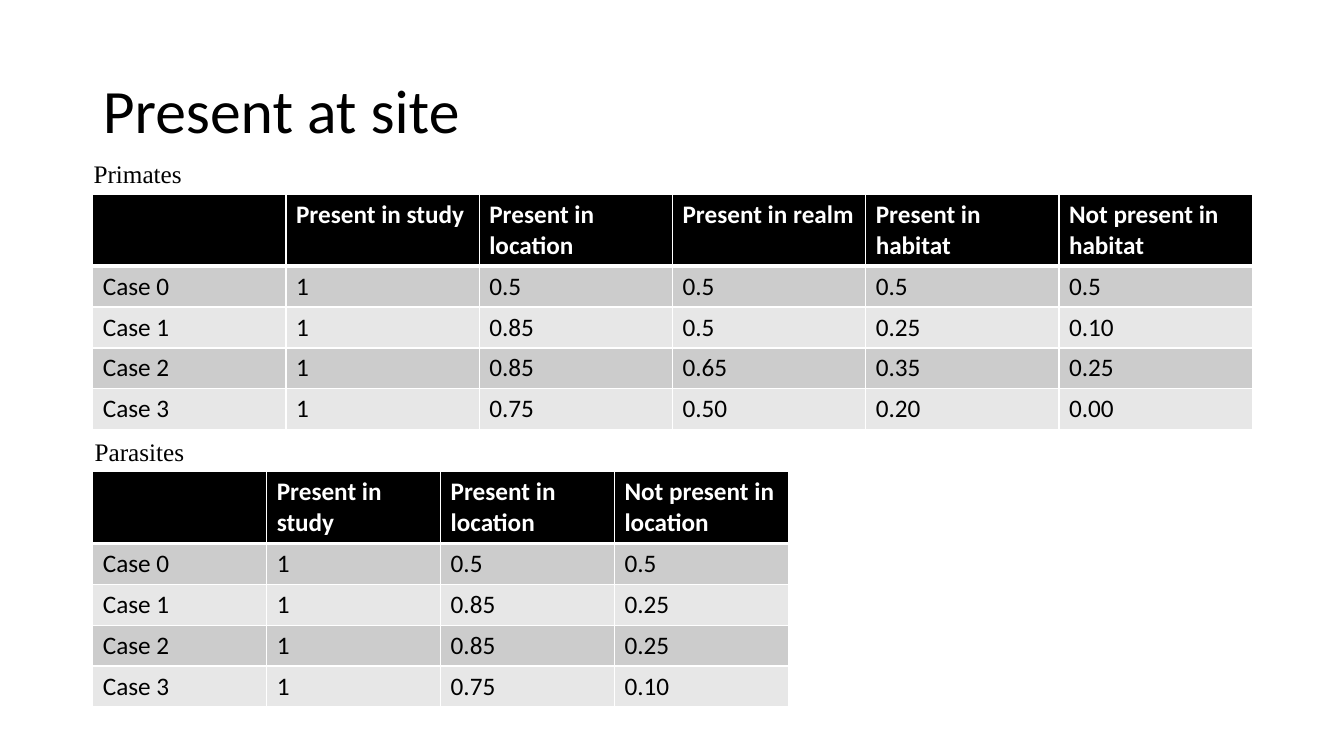
from lxml.etree import SubElement
from pptx import Presentation
from pptx.dml.color import RGBColor
from pptx.enum.text import MSO_ANCHOR, MSO_AUTO_SIZE, PP_ALIGN
from pptx.oxml.ns import qn
from pptx.util import Inches, Pt

BLACK = RGBColor(0x00, 0x00, 0x00)
WHITE = RGBColor(0xFF, 0xFF, 0xFF)
DARK_BAND = RGBColor(0xCC, 0xCC, 0xCC)
LIGHT_BAND = RGBColor(0xE7, 0xE7, 0xE7)

HEADER_HEIGHT = 0.7
TABLE_HEIGHT = 2.32

PRIMATES = [
    ["", "Present in study", "Present in location", "Present in realm",
     "Present in habitat", "Not present in habitat"],
    ["Case 0", "1", "0.5", "0.5", "0.5", "0.5"],
    ["Case 1", "1", "0.85", "0.5", "0.25", "0.10"],
    ["Case 2", "1", "0.85", "0.65", "0.35", "0.25"],
    ["Case 3", "1", "0.75", "0.50", "0.20", "0.00"],
]
PARASITES = [
    ["", "Present in study", "Present in location", "Not present in location"],
    ["Case 0", "1", "0.5", "0.5"],
    ["Case 1", "1", "0.85", "0.25"],
    ["Case 2", "1", "0.85", "0.25"],
    ["Case 3", "1", "0.75", "0.10"],
]


def add_span(para, text, size, font, color, bold=False):
    span = para.add_run()
    span.text = text
    span.font.size = Pt(size)
    span.font.name = font
    span.font.color.rgb = color
    span.font.bold = bold


def add_border(cell, side, width):
    properties = cell._tc.get_or_add_tcPr()
    line = SubElement(properties, qn(f"a:ln{side}"), w=str(Pt(width)))
    fill = SubElement(line, qn("a:solidFill"))
    SubElement(fill, qn("a:srgbClr"), val=str(WHITE))


deck = Presentation()
deck.slide_width = Inches(13.33)
deck.slide_height = Inches(7.5)
page = deck.slides.add_slide(deck.slide_layouts[5])

title = page.shapes.title
title.left, title.top = Inches(0.92), Inches(0.4)
title.width, title.height = Inches(11.5), Inches(1.45)
title.text_frame.vertical_anchor = MSO_ANCHOR.MIDDLE
para = title.text_frame.paragraphs[0]
para.alignment = PP_ALIGN.LEFT
para.line_spacing = 0.9
add_span(para, "Present at site", 44, "Calibri", BLACK)

for rows, top, width in [(PRIMATES, 1.93, 11.5), (PARASITES, 4.68, 6.9)]:
    frame = page.shapes.add_table(len(rows), len(rows[0]), Inches(0.92), Inches(top),
                                  Inches(width), Inches(TABLE_HEIGHT))
    table = frame.table
    case_height = (TABLE_HEIGHT - HEADER_HEIGHT) / (len(rows) - 1)
    for row_index, row in enumerate(rows):
        is_header = row_index == 0
        table.rows[row_index].height = Inches(HEADER_HEIGHT if is_header else case_height)
        band = DARK_BAND if row_index % 2 else LIGHT_BAND
        for column_index, text in enumerate(row):
            cell = table.cell(row_index, column_index)
            add_border(cell, "L", 1)
            add_border(cell, "R", 1)
            add_border(cell, "T", 3 if row_index == 1 else 1)
            add_border(cell, "B", 3 if is_header else 1)
            cell.fill.solid()
            cell.fill.fore_color.rgb = BLACK if is_header else band
            if text:
                add_span(cell.text_frame.paragraphs[0], text, 18, "Calibri",
                         WHITE if is_header else BLACK, is_header)

for label, left, top in [("Primates", 0.83, 1.52), ("Parasites", 0.84, 4.28)]:
    box = page.shapes.add_textbox(Inches(left), Inches(top), Inches(1.52), Inches(0.4))
    box.text_frame.word_wrap = True
    box.text_frame.auto_size = MSO_AUTO_SIZE.SHAPE_TO_FIT_TEXT
    add_span(box.text_frame.paragraphs[0], label, 18, "Times New Roman", BLACK)

deck.save("out.pptx")
